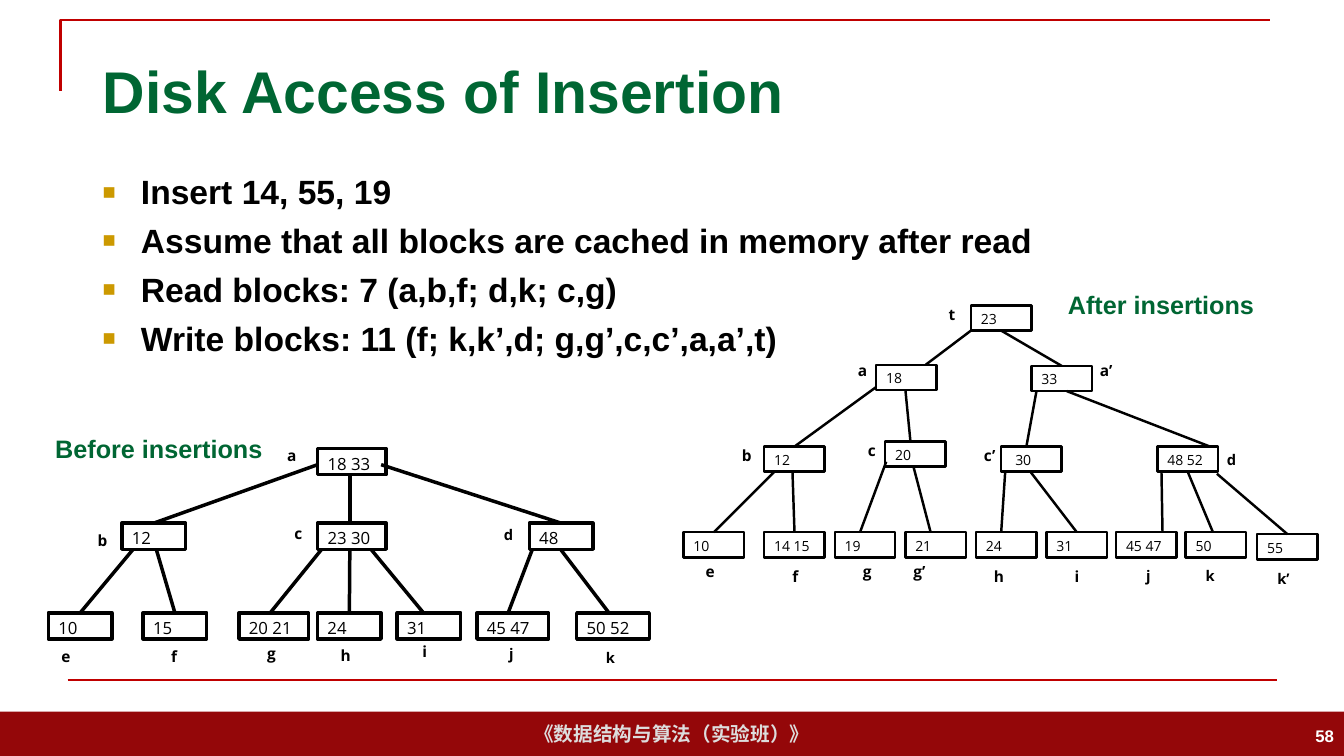
from dataclasses import dataclass

from lxml import etree
from pptx import Presentation
from pptx import util as u
from pptx.dml import color
from pptx.enum import shapes, text
from pptx.oxml import ns

COLOURS = {"black": "000000", "white": "FFFFFF", "green": "006633", "gold": "CC9900",
           "band": "940709", "rule": "C00000", "footer": "DDDDDD"}
CELL = 0.1  # side of one grid cell, in inches; all positions are counted in cells
COLUMNS, ROWS = 133.3, 75
LABEL_HEIGHT = 2.9

Point = tuple[float, float]


@dataclass
class Node:
    """One block: its keys, place, name tag, and the line coming from its parent."""
    keys: str
    left: float
    top: float
    name: str
    tag: Point
    start: Point | None = None
    end: float | None = None  # column where the line lands; the middle if not set
    width: float | None = None
    indent: float = 0


@dataclass
class Tree:
    heading: str
    heading_at: Point
    width: float
    height: float
    line: float
    size: float
    nodes: list[Node]


BEFORE = Tree("Before insertions", (4, 42.2), 6.3, 2.6, 2.5, 12, [
    Node("18 33", 31.5, 44.5, "a", (27.5, 43.8), width=6.8),
    Node("12", 12.1, 51.9, "b", (8.7, 52.2), (31.5, 46.1)),
    Node("23 30", 31.5, 51.9, "c", (28.2, 51.5), (34.7, 47.2), 34.7, 6.8),
    Node("48", 52.5, 51.9, "d", (49, 51.7), (37.8, 46.1)),
    Node("10", 4.8, 60.8, "e", (5.1, 63.7), (13.2, 54.5)),
    Node("15", 14.2, 60.8, "f", (16, 63.7), (15.5, 54.5)),
    Node("20 21", 23.7, 60.8, "g", (25.5, 63.4), (31.9, 54.5), 26.8, 6.9),
    Node("24", 31.5, 60.8, "h", (32.8, 63.6), (34.7, 54.5)),
    Node("31", 39.4, 60.8, "i", (40.9, 63.2), (36.8, 54.5), 42),
    Node("45 47", 47.3, 60.8, "j", (49.5, 63.5), (52.8, 54.5), 50.4, 7.1),
    Node("50 52", 57.2, 60.8, "k", (59.1, 63.9), (55.6, 54.5), 60.4, 7.2),
])

AFTER = Tree("After insertions", (103.4, 27.9), 6, 2.5, 1.75, 10, [
    Node("23", 96.3, 30.3, "t", (93.1, 29.8)),
    Node("18", 86.9, 36.2, "a", (84.1, 35.3), (96.3, 32.8), 91.8),
    Node("33", 102.3, 36.3, "a’", (108.1, 35.3), (99.3, 32.8)),
    Node("12", 75.8, 44.3, "b", (72.6, 43.8), (86.9, 38.4)),
    Node("20", 87.8, 43.8, "c", (85.1, 43.3), (89.8, 38.7), 90.3),
    Node("30", 99.3, 44.3, "c’", (96.6, 43.8), (102.8, 38.8), 101.8, indent=0.4),
    Node("48 52", 114.8, 44.3, "d", (120.7, 44.2), (105.8, 38.8), 120),
    Node("10", 67.8, 52.8, "e", (69, 55.3), (76.8, 46.8)),
    Node("14 15", 75.8, 52.8, "f", (77.6, 55.8), (78.6, 46.8)),
    Node("19", 82.8, 52.8, "g", (84.6, 55.3), (87.9, 45.8), 85.3),
    Node("21", 89.8, 52.8, "g’", (89.6, 55.3), (90.6, 46.3), 92.3),
    Node("24", 96.8, 52.8, "h", (97.6, 55.8), (99.7, 46.8), 99.3),
    Node("31", 103.8, 52.8, "i", (105.6, 55.8), (102.2, 46.8)),
    Node("45 47", 110.7, 52.8, "j", (112.7, 55.7), (115.2, 46.8), 115.3),
    Node("50", 117.6, 52.8, "k", (118.6, 55.7), (117.8, 46.8), 120.3),
    Node("55", 124.7, 53, "k’", (125.7, 56), (120.7, 47)),
])

BULLETS = ["Insert 14, 55, 19",
           "Assume that all blocks are cached in memory after read",
           "Read blocks: 7 (a,b,f; d,k; c,g)",
           "Write blocks: 11 (f; k,k’,d; g,g’,c,c’,a,a’,t)"]


def cells(count: float) -> u.Emu:
    return u.Inches(count * CELL)


def rgb(name: str) -> color.RGBColor:
    return color.RGBColor.from_string(COLOURS[name])


def write(para, words: str, size: float, colour: str = "black", face: str = "Arial",
          bold: bool = True, align=text.PP_ALIGN.LEFT) -> None:
    para.alignment = align
    span = para.add_run()
    span.text = words
    span.font.name, span.font.size, span.font.bold = face, u.Pt(size), bold
    span.font.color.rgb = rgb(colour)


def add_text(page, left: float, top: float, width: float, height: float,
             anchor=text.MSO_ANCHOR.MIDDLE):
    box = page.shapes.add_textbox(*map(cells, (left, top, width, height)))
    box.text_frame.word_wrap = True
    box.text_frame.vertical_anchor = anchor
    return box.text_frame


def add_box(page, left: float, top: float, width: float, height: float, fill: str):
    box = page.shapes.add_shape(shapes.MSO_SHAPE.RECTANGLE,
                                *map(cells, (left, top, width, height)))
    box.shadow.inherit = False
    box.fill.solid()
    box.fill.fore_color.rgb = rgb(fill)
    box.line.fill.background()
    return box


def add_line(page, start: Point, end: Point, colour: str, width: float) -> None:
    line = page.shapes.add_connector(shapes.MSO_CONNECTOR.STRAIGHT,
                                     *map(cells, (*start, *end)))
    line.line.color.rgb = rgb(colour)
    line.line.width = u.Pt(width)
    etree.SubElement(line._element.spPr, ns.qn("a:effectLst"))


def add_bullet(para) -> None:
    props = para._p.get_or_add_pPr()
    props.set("marL", str(cells(3.8)))
    props.set("indent", str(cells(-3.8)))
    tint = etree.SubElement(props, ns.qn("a:buClr"))
    etree.SubElement(tint, ns.qn("a:srgbClr"), val=COLOURS["gold"])
    etree.SubElement(props, ns.qn("a:buSzPct"), val="65000")
    etree.SubElement(props, ns.qn("a:buFont"), typeface="Arial")
    etree.SubElement(props, ns.qn("a:buChar"), char="■")


def draw_tree(page, tree: Tree) -> None:
    # Blocks with their keys
    for node in tree.nodes:
        box = add_box(page, node.left, node.top, node.width or tree.width,
                      tree.height, "white")
        box.line.color.rgb = rgb("black")
        box.line.width = u.Pt(tree.line)
        frame = box.text_frame
        frame.vertical_anchor = text.MSO_ANCHOR.TOP
        frame.margin_left = cells(1 + node.indent)
        write(frame.paragraphs[0], node.keys, tree.size, face="Open Sans", bold=False)
    # Lines from parents
    for node in tree.nodes:
        if node.start:
            middle = node.left + (node.width or tree.width) / 2
            add_line(page, node.start, (node.end or middle, node.top), "black", tree.line)
    # Block names
    for node in tree.nodes:
        frame = add_text(page, *node.tag, 1.5 + len(node.name), LABEL_HEIGHT,
                         text.MSO_ANCHOR.TOP)
        frame.auto_size = text.MSO_AUTO_SIZE.SHAPE_TO_FIT_TEXT
        size = 10.5 if node.name[0] in "djk" else 11
        write(frame.paragraphs[0], node.name, size, face="Open Sans")
    # Heading
    frame = add_text(page, *tree.heading_at, 23.5, 4.6)
    write(frame.paragraphs[0], tree.heading, 18, "green", align=text.PP_ALIGN.CENTER)


def main() -> None:
    deck = Presentation()
    deck.slide_width, deck.slide_height = cells(COLUMNS), cells(ROWS)
    page = deck.slides.add_slide(deck.slide_layouts[5])

    # Footer band, corner bracket and bottom rule
    band = add_box(page, 0, 70.6, COLUMNS, ROWS - 70.6, "band")
    write(band.text_frame.paragraphs[0], "《数据结构与算法（实验班）》", 14, "footer",
          align=text.PP_ALIGN.CENTER)
    pen = page.shapes.build_freeform(5.6, 9.2, scale=cells(1))
    pen.add_line_segments([(5.6, 2.5), (125.6, 2.5)], close=False)
    bracket = pen.convert_to_shape()
    bracket.shadow.inherit = False
    bracket.fill.background()
    bracket.line.color.rgb = rgb("rule")
    bracket.line.width = u.Pt(1.5)
    add_line(page, (6.7, 67.5), (126.7, 67.5), "rule", 1.5)

    # Title
    title = page.shapes.title
    title.left, title.top, title.width, title.height = map(cells, (9.2, 4, 115, 9.9))
    title.text_frame.auto_size = text.MSO_AUTO_SIZE.NONE
    title.text_frame.vertical_anchor = text.MSO_ANCHOR.MIDDLE
    write(title.text_frame.paragraphs[0], "Disk Access of Insertion", 42, "green")

    # Bullets
    frame = add_text(page, 9.2, 16.2, 115, 51.5, text.MSO_ANCHOR.TOP)
    frame.margin_top = cells(0.8)
    for index, words in enumerate(BULLETS):
        para = frame.add_paragraph() if index else frame.paragraphs[0]
        add_bullet(para)
        if index:
            para.space_before = u.Pt(6)
        write(para, words, 24)

    # Page number and the two trees
    frame = add_text(page, 103.3, 71, 30, 4)
    write(frame.paragraphs[0], "58", 12, "white", align=text.PP_ALIGN.RIGHT)
    draw_tree(page, AFTER)
    draw_tree(page, BEFORE)
    deck.save("out.pptx")


if __name__ == "__main__":
    main()
